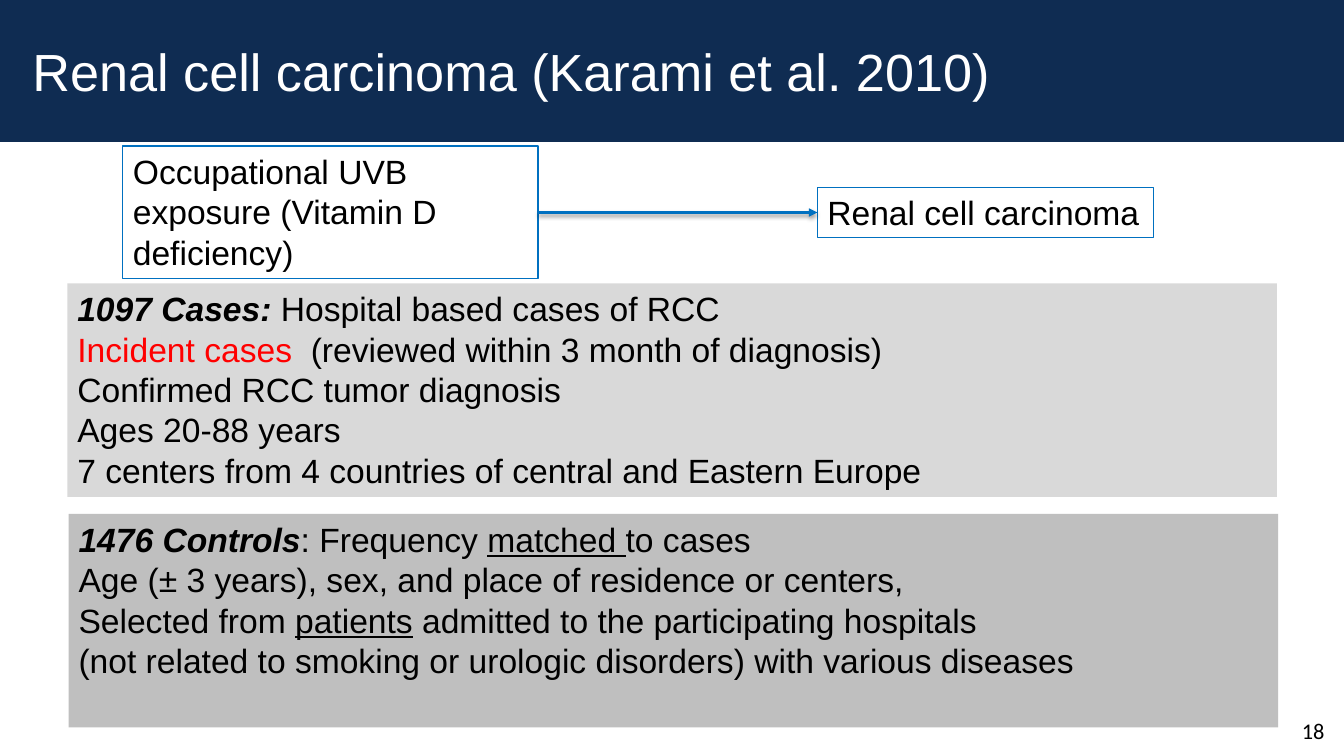
from dataclasses import dataclass

from lxml import etree
from pptx import Presentation
from pptx.dml.color import RGBColor
from pptx.enum.shapes import MSO_CONNECTOR, MSO_SHAPE
from pptx.enum.text import MSO_ANCHOR, PP_ALIGN
from pptx.oxml import parse_xml
from pptx.oxml.ns import nsdecls, qn
from pptx.shapes.autoshape import Shape
from pptx.slide import Slide
from pptx.util import Cm, Pt

RECTANGLE = MSO_SHAPE.RECTANGLE
STRAIGHT = MSO_CONNECTOR.STRAIGHT
LEFT, RIGHT = PP_ALIGN.LEFT, PP_ALIGN.RIGHT
TOP, MIDDLE, BOTTOM = MSO_ANCHOR.TOP, MSO_ANCHOR.MIDDLE, MSO_ANCHOR.BOTTOM

NAVY = RGBColor(0x0F, 0x2C, 0x52)
BLUE = RGBColor(0x00, 0x70, 0xC0)
LIGHT_GRAY = RGBColor(0xD9, 0xD9, 0xD9)
GRAY = RGBColor(0xBF, 0xBF, 0xBF)
BLACK = RGBColor(0x00, 0x00, 0x00)
WHITE = RGBColor(0xFF, 0xFF, 0xFF)
RED = RGBColor(0xFF, 0x00, 0x00)

SLIDE_WIDTH, SLIDE_HEIGHT = 33.87, 19.05


@dataclass(frozen=True)
class Span:
    text: str
    heading: bool = False
    underline: bool = False
    color: RGBColor | None = None


@dataclass(frozen=True)
class Box:
    left: float
    top: float
    width: float
    height: float
    lines: tuple[tuple[Span, ...], ...] = ()
    fill: RGBColor | None = None
    outline: RGBColor | None = None
    wrap: bool = True


BAND = Box(0, 0, SLIDE_WIDTH, 3.58, fill=NAVY)
EXPOSURE = Box(
    3.1, 3.68, 10.46, 3.33, outline=BLUE,
    lines=((Span("Occupational UVB exposure (Vitamin D deficiency)"),),),
)
OUTCOME = Box(
    20.6, 4.72, 8.46, 1.27, outline=BLUE, wrap=False,
    lines=((Span("Renal cell carcinoma"),),),
)
CASES = Box(
    1.7, 7.14, 30.48, 5.38, fill=LIGHT_GRAY,
    lines=(
        (Span("1097 Cases: ", heading=True), Span("Hospital based cases of RCC")),
        (Span("Incident cases  ", color=RED),
         Span("(reviewed within 3 month of diagnosis)")),
        (Span("Confirmed RCC tumor diagnosis"),),
        (Span("Ages 20-88 years"),),
        (Span("7 centers from 4 countries of central and Eastern Europe"),),
    ),
)
CONTROLS = Box(
    1.73, 12.95, 30.48, 5.38, fill=GRAY,
    lines=(
        (Span("1476 Controls", heading=True), Span(": Frequency "),
         Span("matched ", underline=True), Span("to cases")),
        (Span("Age (± 3 years), sex, and place of residence or centers,"),),
        (Span("Selected from "), Span("patients", underline=True),
         Span(" admitted to the participating hospitals")),
        (Span("(not related to smoking or urologic disorders) with various diseases"),),
    ),
)


def write_lines(shape: Shape, lines: tuple[tuple[Span, ...], ...]) -> None:
    text_frame = shape.text_frame
    for index, spans in enumerate(lines):
        paragraph = text_frame.add_paragraph() if index else text_frame.paragraphs[0]
        paragraph.alignment = LEFT
        paragraph.font.name = "Arial"
        paragraph.font.size = Pt(24)
        for span in spans:
            run = paragraph.add_run()
            run.text = span.text
            run.font.color.rgb = span.color or BLACK
            if span.heading:
                run.font.bold = run.font.italic = True
            if span.underline:
                run.font.underline = True


def add_box(slide: Slide, box: Box) -> Shape:
    shape = slide.shapes.add_shape(
        RECTANGLE, Cm(box.left), Cm(box.top), Cm(box.width), Cm(box.height)
    )
    shape.shadow.inherit = False
    if box.fill is None:
        shape.fill.background()
    else:
        shape.fill.solid()
        shape.fill.fore_color.rgb = box.fill
    if box.outline is None:
        shape.line.fill.background()
    else:
        shape.line.color.rgb = box.outline
        shape.line.width = Pt(0.75)
    shape.text_frame.word_wrap = box.wrap
    shape.text_frame.vertical_anchor = TOP
    write_lines(shape, box.lines)
    return shape


def add_arrow(slide: Slide, source: Box, target: Box) -> None:
    """Join the facing sides of two boxes with a softly shadowed arrow."""
    middle = Cm(target.top + target.height / 2)
    arrow = slide.shapes.add_connector(
        STRAIGHT, Cm(source.left + source.width), middle, Cm(target.left), middle
    )
    arrow.line.color.rgb = BLUE
    arrow.line.width = Pt(2)
    etree.SubElement(arrow.line._get_or_add_ln(), qn("a:tailEnd"), type="triangle")
    arrow._element.spPr.append(parse_xml(
        f'<a:effectLst {nsdecls("a")}>'
        f'<a:outerShdw blurRad="{Pt(3.1)}" dist="{Pt(1.6)}" dir="5400000" rotWithShape="0">'
        '<a:srgbClr val="000000"><a:alpha val="38000"/></a:srgbClr>'
        '</a:outerShdw></a:effectLst>'
    ))


def fill_title(slide: Slide, text: str) -> None:
    title = slide.shapes.title
    title.left, title.top, title.width, title.height = Cm(0.56), Cm(0.2), Cm(32.82), Cm(3.18)
    title.text_frame.text = text
    title.text_frame.vertical_anchor = MIDDLE
    paragraph = title.text_frame.paragraphs[0]
    paragraph.alignment = LEFT
    paragraph.font.name = "Arial"
    paragraph.font.size = Pt(37.3)
    paragraph.font.color.rgb = WHITE


def add_slide_number(slide: Slide, number: str) -> None:
    text_box = slide.shapes.add_textbox(Cm(31.32), Cm(17.73), Cm(2.06), Cm(1.02))
    text_frame = text_box.text_frame
    text_frame.margin_left = text_frame.margin_right = 0
    text_frame.margin_top = text_frame.margin_bottom = 0
    text_frame.word_wrap = True
    text_frame.vertical_anchor = BOTTOM
    text_frame.text = number
    paragraph = text_frame.paragraphs[0]
    paragraph.alignment = RIGHT
    paragraph.font.name = "Calibri"
    paragraph.font.size = Pt(16)
    paragraph.font.color.rgb = BLACK


def main() -> None:
    presentation = Presentation()
    presentation.slide_width = Cm(SLIDE_WIDTH)
    presentation.slide_height = Cm(SLIDE_HEIGHT)
    slide = presentation.slides.add_slide(presentation.slide_layouts.get_by_name("Title Only"))

    band = add_box(slide, BAND)
    slide.shapes.title._element.addprevious(band._element)
    fill_title(slide, "Renal cell carcinoma (Karami et al. 2010)")
    add_slide_number(slide, "18")
    for box in (EXPOSURE, OUTCOME, CASES, CONTROLS):
        add_box(slide, box)
    add_arrow(slide, EXPOSURE, OUTCOME)

    presentation.save("out.pptx")


if __name__ == "__main__":
    main()
